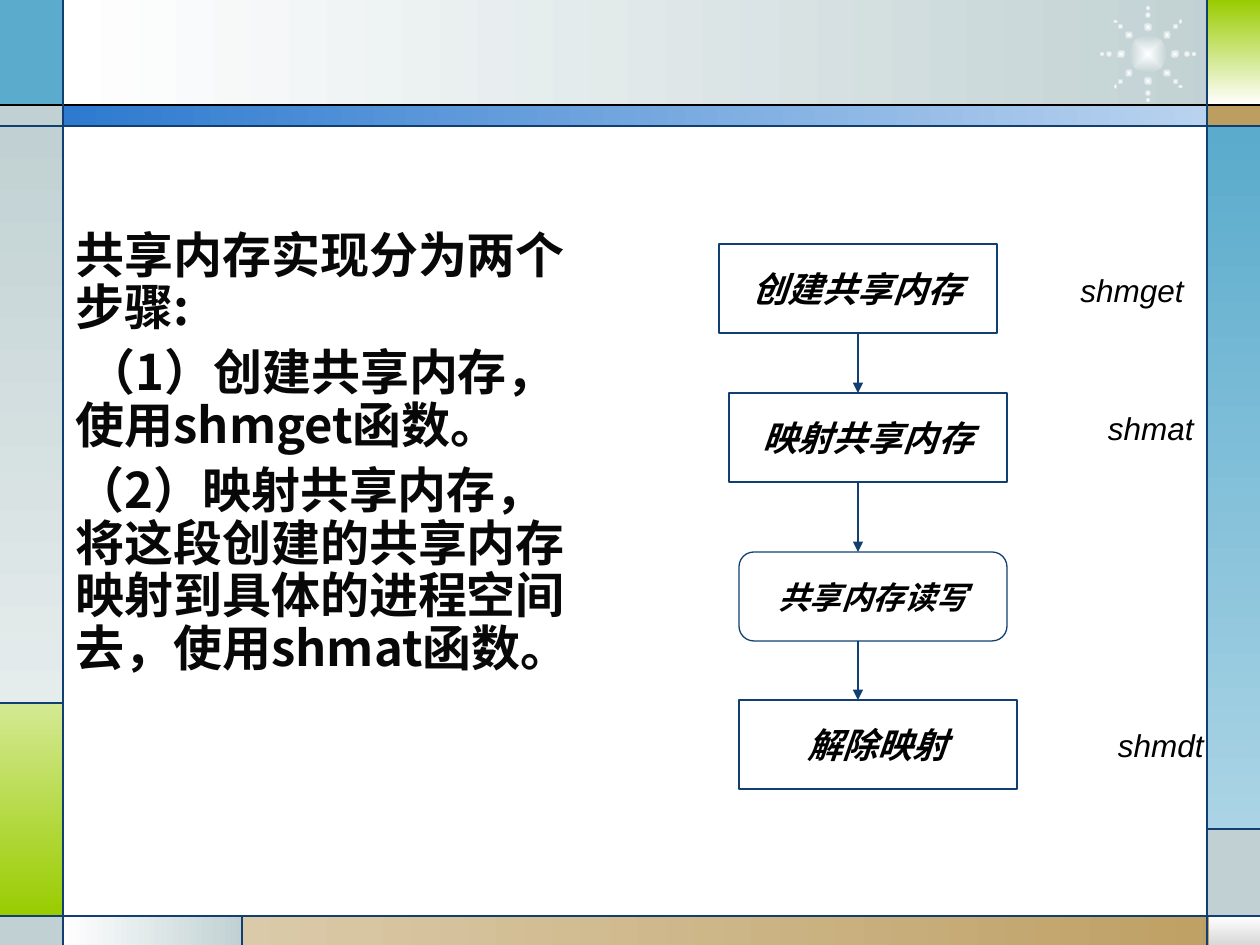
from dataclasses import dataclass
from math import cos, radians, sin

from lxml.etree import SubElement
from pptx import Presentation
from pptx.dml.color import RGBColor
from pptx.enum.shapes import MSO_CONNECTOR as Link, MSO_SHAPE as Kind
from pptx.enum.text import MSO_ANCHOR as Anchor, PP_ALIGN as Align
from pptx.oxml.ns import qn
from pptx.util import Pt

SCALE = 914400 / 126  # EMU in one px


@dataclass(frozen=True)
class Theme:
    white: str = "FFFFFF"
    black: str = "000000"
    ink: str = "080808"
    navy: str = "113F71"
    gray: str = "C1D1D3"
    mist: str = "E5ECEC"
    smoke: str = "D8D8D8"
    sky: str = "5AABCC"
    pale: str = "AAD4E5"
    blue: str = "2D7ACF"
    ice: str = "B9D3EF"
    lime: str = "99CC00"
    leaf: str = "D4E993"
    tan: str = "BD9E61"
    sand: str = "DBCAA9"
    font: str = "Arial"
    cjk: str = "Noto Sans CJK SC"
    body: int = 28
    node: int = 20
    note: int = 18
    line: float = 0.75


T = Theme()


def px(n):
    return round(n * SCALE)


def rgb(code):
    return RGBColor.from_string(code)


def blend(shape, first, last, angle=0):
    """Two-colour gradient; the angle runs clockwise, None means from the centre."""
    fill = shape.fill
    fill.gradient()
    for stop, code, spot in zip(fill.gradient_stops, (first, last), (0, 1)):
        stop.color.rgb = rgb(code)
        stop.position = spot
    if angle is not None:
        fill.gradient_angle = -angle % 360
        return
    grad = shape.element.spPr.find(qn("a:gradFill"))
    grad.remove(grad.find(qn("a:lin")))
    core = SubElement(grad, qn("a:path"), {"path": "rect"})
    SubElement(core, qn("a:fillToRect"), dict.fromkeys("ltrb", "50000"))


def form(slide, kind, box):
    shape = slide.shapes.add_shape(kind, *map(px, box))
    shape.shadow.inherit = False
    shape.line.fill.background()
    return shape


def rule(slide, x1, y1, x2, y2, color=T.navy, head=False):
    link = slide.shapes.add_connector(Link.STRAIGHT, px(x1), px(y1), px(x2), px(y2))
    link.line.color.rgb = rgb(color)
    link.line.width = Pt(T.line)
    if head:
        SubElement(link.line._get_or_add_ln(), qn("a:tailEnd"), {"type": "triangle"})
    SubElement(link.element.spPr, qn("a:effectLst"))


def style(para, size, face=T.font, color=T.black, bold=False, slant=False):
    font = para.font
    font.size, font.name = Pt(size), face
    font.bold, font.italic = bold, slant
    font.color.rgb = rgb(color)


def frame(slide, box):
    """Coloured tiles round the edge and the lines between them."""
    x, y, w, h = box
    left, right, low = 63, 1207, 916
    tiles = [
        ((left, 0, 1168, 105), T.white, T.gray, 0),
        ((0, 0, left, 105), T.sky),
        ((0, 105, left, 21), T.gray),
        ((0, 126, left, 577), T.gray, T.mist, 90),
        ((0, 703, left, 213), T.leaf, T.lime, 90),
        ((0, low, left, 29), T.gray),
        ((left, low, 179, 29), T.white, T.gray, 0),
        ((242, low, 1018, 29), T.sand, T.tan, 0),
        ((1209, low, 51, 29), T.white, T.smoke, 90),
        ((1208, 829, 52, 87), T.gray),
        ((right, 126, 53, 703), T.sky, T.pale, 90),
        ((right, 105, 53, 21), T.tan),
        ((1208, 0, 52, 105), T.lime, T.white, 90),
        ((left, 105, 1145, 21), T.blue, T.ice, 0),
    ]
    for (dx, dy, wide, high), *fill in tiles:
        tile = form(slide, Kind.RECTANGLE, (x + dx, y + dy, wide, high))
        if len(fill) == 1:
            tile.fill.solid()
            tile.fill.fore_color.rgb = rgb(fill[0])
        else:
            blend(tile, *fill)
    star(slide, (x + 1102, y + 8, 92, 92))
    # Lines over the tiles
    rule(slide, x, y + 105, x + w, y + 105, T.black)
    for dy in (126, low):
        rule(slide, x, y + dy, x + w, y + dy)
    for dx in (left, right):
        rule(slide, x + dx, y, x + dx, y + h)
    rule(slide, x + left, y + 703, x, y + 703)
    rule(slide, x + 242, y + low, x + 242, y + h)
    rule(slide, x + right, y + 829, x + w, y + 829)


def star(slide, box):
    """Glowing core with eight arms of three shrinking dots."""
    x, y, w, h = box
    mid, row = x + w / 2, y + h / 2

    def dot(dx, dy, wide, high, turn):
        spot = (mid + dx - wide / 2, row + dy - high / 2, wide, high)
        glow = form(slide, Kind.OVAL, spot)
        glow.rotation = turn % 360
        blend(glow, T.white, T.gray, None)

    dot(0, 0, 38, 38, 2.5)
    for turn in range(0, 360, 45):
        for far, wide, high in ((39, 6, 6), (46, 5, 4), (27, 9, 8)):
            arc = radians(turn)
            dot(far * cos(arc), far * sin(arc), wide, high, turn - 35)


def story(slide, box):
    """Body text on the left."""
    body = slide.placeholders[1]
    body.left, body.top, body.width, body.height = map(px, box)
    text = body.text_frame
    text.word_wrap = True
    lines = [
        ("共享内存实现分为两个步骤:", 0),
        ("（1）创建共享内存，使用shmget函数。", 11),
        ("（2）映射共享内存，将这段创建的共享内存映射到具体的进程空间去，使用shmat函数。", 0),
    ]
    for i, (line, dent) in enumerate(lines):
        para = text.add_paragraph() if i else text.paragraphs[0]
        run = para.add_run()
        run.text = line
        props = para._p.get_or_add_pPr()
        props.set("marL", "0")
        props.set("indent", str(px(dent)))
        SubElement(props, qn("a:buNone"))
        para.line_spacing = Pt(30.1)
        para.space_before = Pt(7 if i else 0)
        style(para, T.body, T.cjk, T.ink, bold=True)
        SubElement(run._r.get_or_add_rPr(), qn("a:ea"), {"typeface": T.cjk})


def flow(slide, box):
    """Four steps joined by arrows, with the call of each at its right."""
    x, y = box[:2]
    high, axis = 89, x + 139
    steps = [
        (0, 0, 278, "创建共享内存", "shmget", 308, 21),
        (10, 149, 278, "映射共享内存", "shmat", 318, 10),
        (20, 308, 268, "共享内存读写", None, 0, 0),
        (20, 456, 278, "解除映射", "shmdt", 328, 20),
    ]
    for i, (dx, dy, wide, name, call, far, drop) in enumerate(steps):
        kind = Kind.RECTANGLE if call else Kind.ROUNDED_RECTANGLE
        node = form(slide, kind, (x + dx, y + dy, wide, high))
        node.fill.background()
        node.line.color.rgb = rgb(T.navy)
        node.line.width = Pt(T.line)
        text = node.text_frame
        text.word_wrap = False
        text.vertical_anchor = Anchor.MIDDLE
        para = text.paragraphs[0]
        para.text, para.alignment = name, Align.CENTER
        style(para, T.node if call else T.note, bold=True, slant=True)
        if i:
            last = steps[i - 1][1] + high
            rule(slide, axis, y + last, axis, y + dy, head=True)
        if call:
            spot = (x + far, y + dy + drop, 169, 50)
            note = slide.shapes.add_textbox(*map(px, spot)).text_frame
            note.word_wrap = True
            para = note.paragraphs[0]
            para.text, para.alignment = call, Align.RIGHT
            style(para, T.note, slant=True)


def main():
    deck = Presentation()
    deck.slide_width, deck.slide_height = px(1260), px(945)
    slide = deck.slides.add_slide(deck.slide_layouts[1])
    title = slide.shapes.title.element
    title.getparent().remove(title)
    frame(slide, (0, 0, 1260, 945))
    story(slide, (63, 224, 537, 620))
    flow(slide, (719, 244, 490, 545))
    deck.save("out.pptx")


if __name__ == "__main__":
    main()
